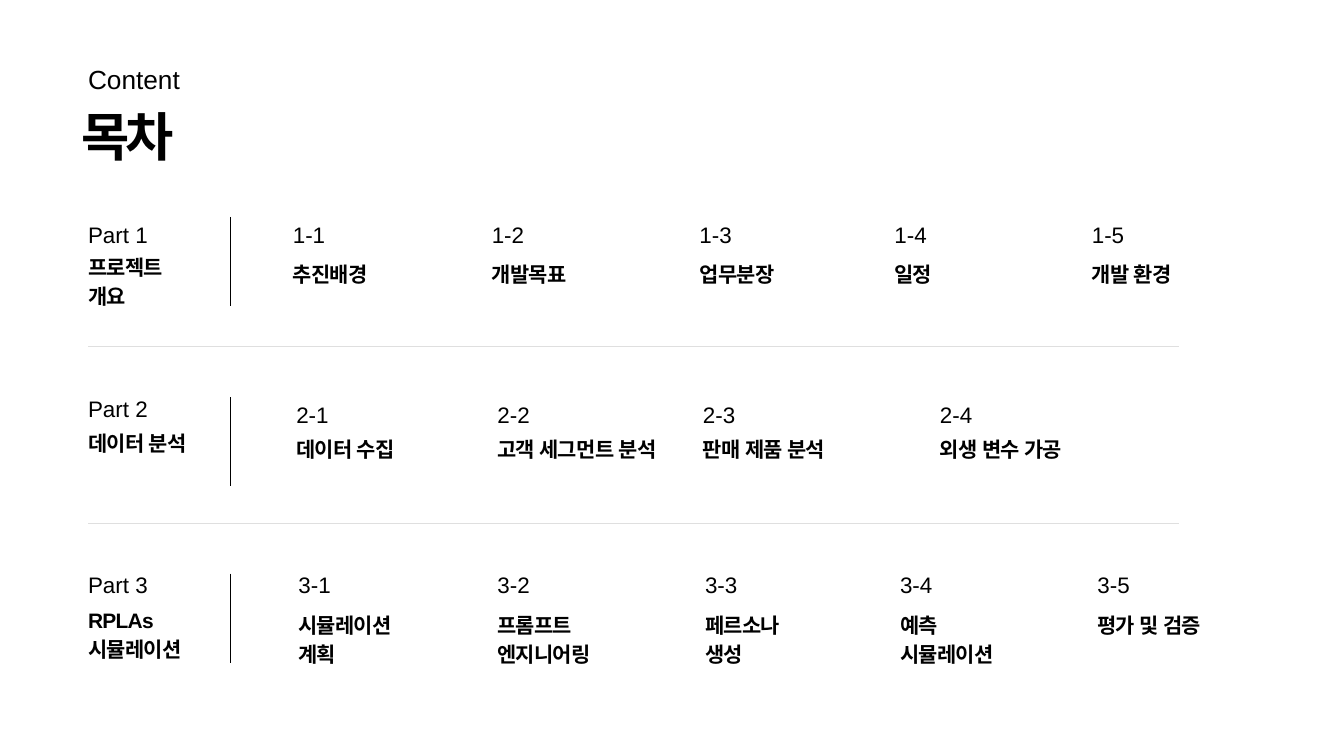
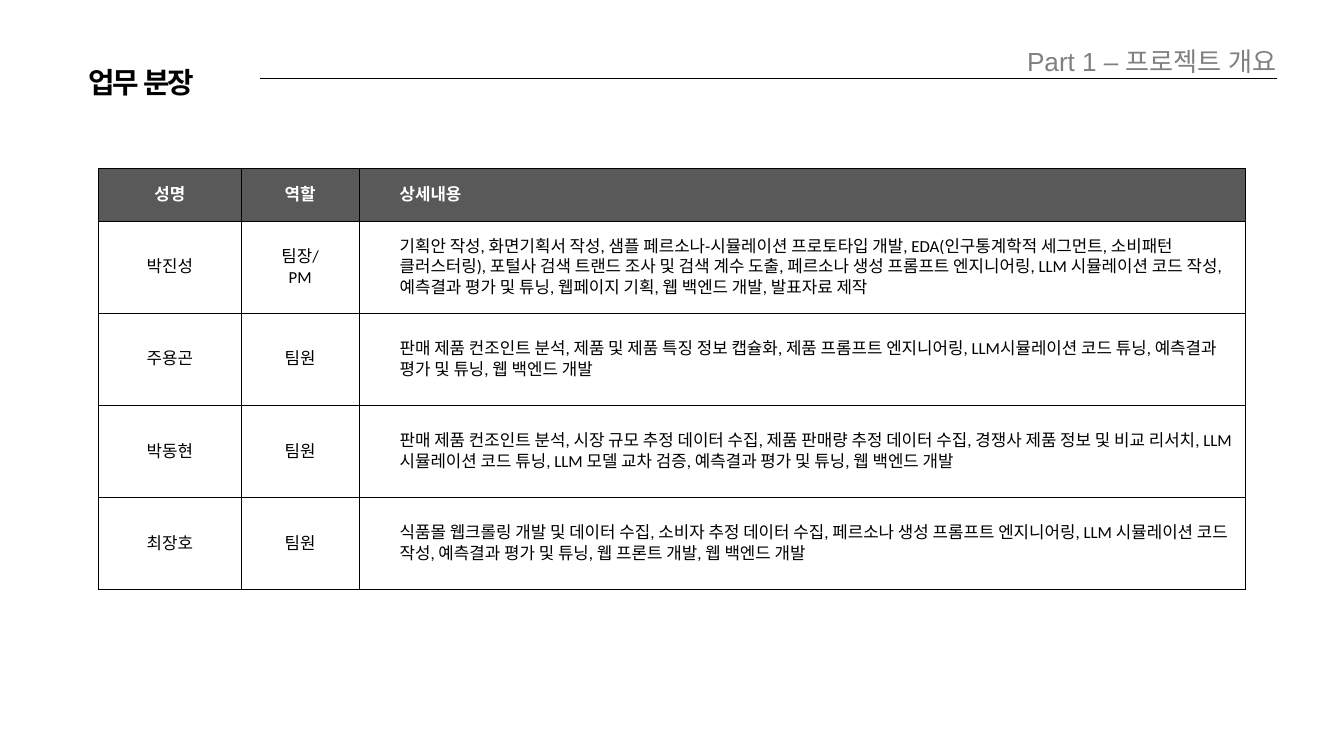
from lxml import etree
from pptx import Presentation
from pptx import util as u
from pptx.dml.color import RGBColor
from pptx.enum import shapes, text
from pptx.oxml.ns import qn

BLACK = RGBColor(0, 0, 0)
WHITE = RGBColor(255, 255, 255)
GREY = RGBColor(0x80, 0x80, 0x80)
DARK = RGBColor(0x59, 0x59, 0x59)
PALE = RGBColor(0xDF, 0xDF, 0xDF)
LEFT = 3.33
RIGHT = 44.55

WIDTHS = (8.2, 7.8, 7.47, 5.56, 5.56)
GRID = (0, 7.52, 15.37, 22.74, 30.2)
PARTS = [
    dict(top=8.2, name="프로젝트\n개요", drop=1.27, start=11.07, grid=GRID, gap=1.55, shift=0,
         items=["추진배경", "개발목표", "업무분장", "일정", "개발 환경"]),
    dict(top=14.76, name="데이터 분석", drop=1.37, start=11.2, grid=(0, 7.6, 15.37, 24.33),
         gap=1.35, shift=0.25,
         items=["데이터 수집", "고객 세그먼트 분석", "판매 제품 분석", "외생 변수 가공"]),
    dict(top=21.44, name="RPLAs\n시뮬레이션", drop=1.37, start=11.28, grid=GRID, gap=1.55, shift=0,
         items=["시뮬레이션\n계획", "프롬프트\n엔지니어링", "페르소나\n생성", "예측\n시뮬레이션", "평가 및 검증"]),
]

HEAD = ("성명", "역할", "상세내용")
TEAM = [
    ("박진성", "팀장/\nPM",
     "기획안 작성, 화면기획서 작성, 샘플 페르소나-시뮬레이션 프로토타입 개발, EDA(인구통계학적 세그먼트, "
     "소비패턴 클러스터링), 포털사 검색 트랜드 조사 및 검색 계수 도출, 페르소나 생성 프롬프트 엔지니어링, "
     "LLM 시뮬레이션 코드 작성, 예측결과 평가 및 튜닝, 웹페이지 기획, 웹 백엔드 개발, 발표자료 제작"),
    ("주용곤", "팀원",
     "판매 제품 컨조인트 분석, 제품 및 제품 특징 정보 캡슐화, 제품 프롬프트 엔지니어링, "
     "LLM시뮬레이션 코드 튜닝, 예측결과 평가 및 튜닝, 웹 백엔드 개발"),
    ("박동현", "팀원",
     "판매 제품 컨조인트 분석, 시장 규모 추정 데이터 수집, 제품 판매량 추정 데이터 수집, "
     "경쟁사 제품 정보 및 비교 리서치, LLM시뮬레이션 코드 튜닝, LLM 모델 교차 검증, "
     "예측결과 평가 및 튜닝, 웹 백엔드 개발"),
    ("최장호", "팀원",
     "식품몰 웹크롤링 개발 및 데이터 수집, 소비자 추정 데이터 수집, 페르소나 생성 프롬프트 엔지니어링, "
     "LLM 시뮬레이션 코드 작성, 예측결과 평가 및 튜닝, 웹 프론트 개발, 웹 백엔드 개발"),
]


def write(frame, words, size, font="Arial", color=BLACK, bold=False, align=text.PP_ALIGN.LEFT,
          line=None, track=0, indent=0):
    for i, row in enumerate(words.split("\n")):
        para = frame.add_paragraph() if i else frame.paragraphs[0]
        para.alignment = align
        if line:
            para.line_spacing = u.Pt(line)
        if indent:
            para._p.get_or_add_pPr().set("marL", str(u.Cm(indent)))
        run = para.add_run()
        run.text = row
        run.font.size = u.Pt(size)
        run.font.name = font
        run.font.bold = bold
        run.font.color.rgb = color
        props = run._r.get_or_add_rPr()
        etree.SubElement(props, qn("a:ea")).set("typeface", font)
        if track:
            props.set("spc", str(round(track * 100)))


def fit(shape, words, box, size, **form):
    shape.left, shape.top, shape.width, shape.height = map(u.Cm, box)
    frame = shape.text_frame
    frame.margin_left = frame.margin_right = frame.margin_top = frame.margin_bottom = 0
    frame.word_wrap = True
    frame.vertical_anchor = text.MSO_ANCHOR.TOP
    frame.auto_size = text.MSO_AUTO_SIZE.SHAPE_TO_FIT_TEXT
    write(frame, words, size, **form)


def label(slide, words, box, size, **form):
    fit(slide.shapes.add_textbox(0, 0, 0, 0), words, box, size, **form)


def title(slide, words, box, size, **form):
    fit(slide.shapes.title, words, box, size, bold=True, **form)


def rule(slide, x1, y1, x2, y2, color=BLACK):
    link = slide.shapes.add_connector(shapes.MSO_CONNECTOR.STRAIGHT, *map(u.Cm, (x1, y1, x2, y2)))
    link.line.color.rgb = color
    link.line.width = u.Pt(0.75)
    etree.SubElement(link._element.spPr, qn("a:effectLst"))


def entry(slide, left, top, code, name, gap, width):
    label(slide, code, (left, top, 3, 1.09), 24, line=33.6)
    tall = 1.04 * len(name.split("\n"))
    label(slide, name, (left, top + gap, width, tall), 22.4, bold=True, line=31.3, track=-0.8)


def part(slide, num, top, name, drop, start, grid, gap, shift, items):
    entry(slide, LEFT, top, f"Part {num}", name, drop, 3.96)
    bar = top + (0.25 if num > 1 else 0)
    rule(slide, 8.69, bar, 8.69, bar + 3.38)
    for i, (item, step, width) in enumerate(zip(items, grid, WIDTHS), 1):
        entry(slide, start + step, top + shift, f"{num}-{i}", item, gap, width)


def content(slide):
    label(slide, "Content", (LEFT, 2.18, 10.39, 1.27), 28.1, line=39.4)
    title(slide, "목차", (3.07, 4.24, 19.2, 2.13), 56.2, line=59, track=-3.8)
    for num, data in enumerate(PARTS, 1):
        part(slide, num, **data)
    for y in (13.11, 19.79):
        rule(slide, LEFT, y, RIGHT, y, PALE)


def edge(cell):
    props = cell._tc.get_or_add_tcPr()
    for i, (tag, width) in enumerate((("lnL", 1), ("lnR", 1), ("lnT", 0.75), ("lnB", 0.75))):
        line = etree.Element(qn(f"a:{tag}"), w=str(u.Pt(width)))
        fill = etree.SubElement(line, qn("a:solidFill"))
        etree.SubElement(fill, qn("a:srgbClr")).set("val", str(BLACK))
        props.insert(i, line)


def roster(slide, left, top):
    cols = (5.38, 4.47, 33.48)
    rows = (2.01,) + (3.48,) * len(TEAM)
    box = map(u.Cm, (left, top, sum(cols), sum(rows)))
    table = slide.shapes.add_table(len(rows), len(cols), *box).table
    table.horz_banding = False
    for col, width in zip(table.columns, cols):
        col.width = u.Cm(width)
    for r, (height, data) in enumerate(zip(rows, [HEAD] + TEAM)):
        table.rows[r].height = u.Cm(height)
        for c, words in enumerate(data):
            cell = table.cell(r, c)
            cell.vertical_anchor = text.MSO_ANCHOR.MIDDLE
            cell.fill.solid()
            cell.fill.fore_color.rgb = WHITE if r else DARK
            edge(cell)
            wide = c == 2
            write(cell.text_frame, words, 18, font="Calibri", bold=r == 0,
                  color=BLACK if r else WHITE, indent=1.27 if wide else 0,
                  align=text.PP_ALIGN.LEFT if wide else text.PP_ALIGN.CENTER)


def duties(slide):
    rule(slide, 9.83, 2.97, 48.26, 2.97)
    title(slide, "업무 분장", (LEFT, 2.21, 10.39, 1.42), 30.9, line=43.3, track=-2)
    label(slide, "Part 1 – 프로젝트 개요", (32.16, 1.52, 16.1, 1.3), 28, color=GREY,
          align=text.PP_ALIGN.RIGHT, line=39.4)
    roster(slide, 3.73, 6.35)


def main():
    deck = Presentation()
    deck.slide_width, deck.slide_height = u.Cm(50.8), u.Cm(28.58)
    for build in (content, duties):
        build(deck.slides.add_slide(deck.slide_layouts[5]))
    deck.save("out.pptx")


if __name__ == "__main__":
    main()
